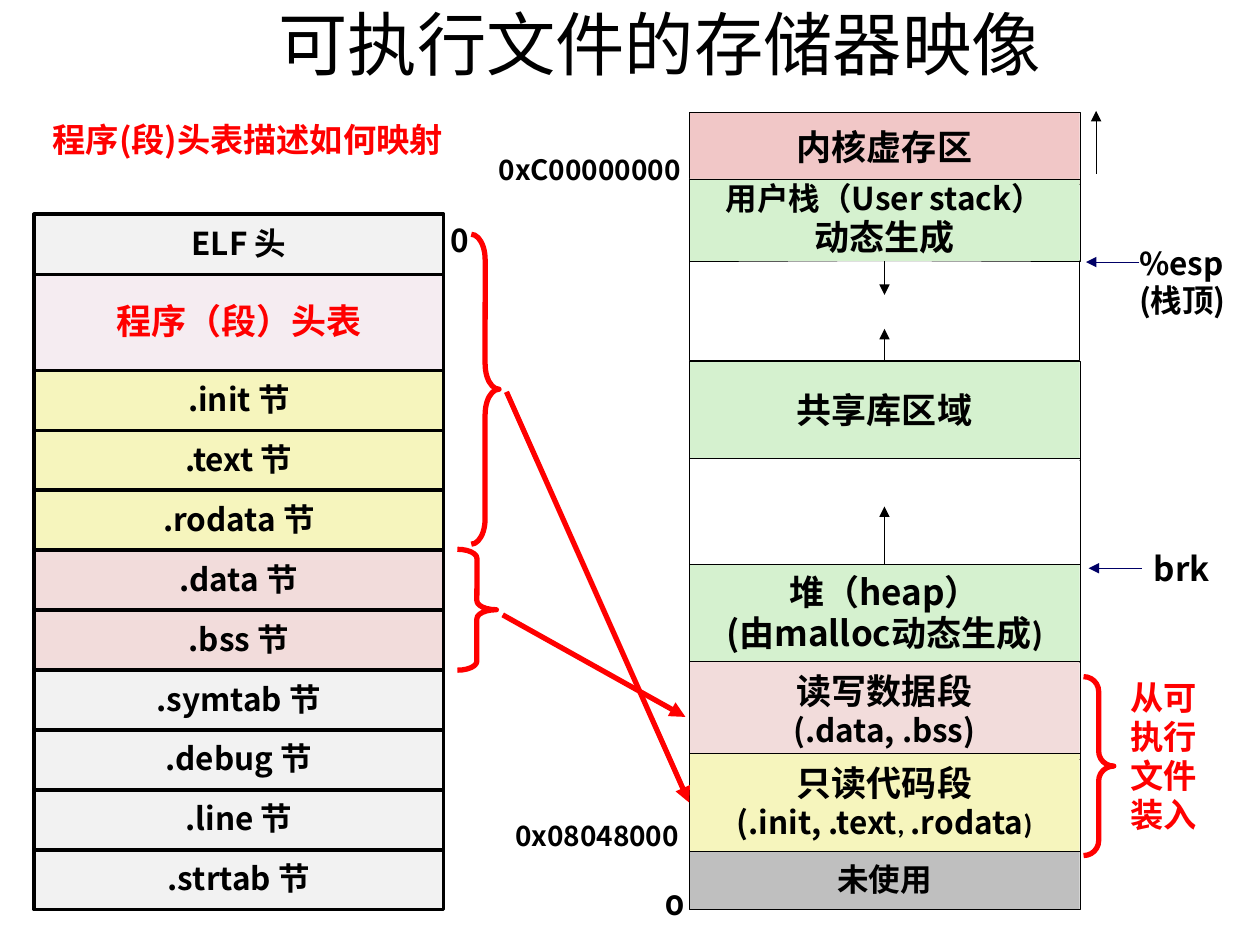
import pptx
import pptx.dml.color
import pptx.enum.shapes
import pptx.enum.text
import pptx.oxml
import pptx.oxml.ns
import pptx.util

Inches = pptx.util.Inches
Pt = pptx.util.Pt
RGBColor = pptx.dml.color.RGBColor
Shape = pptx.enum.shapes.MSO_SHAPE
Align = pptx.enum.text.PP_ALIGN
Anchor = pptx.enum.text.MSO_ANCHOR
AutoSize = pptx.enum.text.MSO_AUTO_SIZE

BLACK = RGBColor(0x00, 0x00, 0x00)
WHITE = RGBColor(0xFF, 0xFF, 0xFF)
RED = RGBColor(0xFF, 0x00, 0x00)
NAVY = RGBColor(0x00, 0x00, 0x66)
PLUM = RGBColor(0x99, 0x33, 0x66)
PALE_GRAY = RGBColor(0xF2, 0xF2, 0xF2)
GRAY = RGBColor(0xBF, 0xBF, 0xBF)
YELLOW = RGBColor(0xF6, 0xF5, 0xBD)
PINK = RGBColor(0xF2, 0xDC, 0xDB)
ROSE = RGBColor(0xF1, 0xC7, 0xC7)
GREEN = RGBColor(0xD5, 0xF1, 0xCF)

CJK = "Noto Sans CJK SC"
LATIN = "Calibri"


def add_xml(parent, tag, **attributes):
    child = pptx.oxml.parse_xml(f"<{tag} {pptx.oxml.ns.nsdecls('a')}/>")
    for name, value in attributes.items():
        child.set(name, value)
    parent.append(child)


def write_text(frame, paragraphs, size=18, font=CJK, color=BLACK, bold=True,
               align=Align.LEFT, spacing=0.98):
    """Each paragraph is a string or a list of (text, size, font) runs."""
    for index, content in enumerate(paragraphs):
        paragraph = frame.paragraphs[0] if index == 0 else frame.add_paragraph()
        paragraph.alignment = align
        paragraph.line_spacing = spacing
        runs = [(content, size, font)] if isinstance(content, str) else content
        for text, run_size, run_font in runs:
            run = paragraph.add_run()
            run.text = text
            run.font.size = Pt(run_size)
            run.font.name = run_font
            run.font.bold = bold
            run.font.color.rgb = color
            add_xml(run.font._element, "a:ea", typeface=CJK)


class MemoryMapSlide:
    def __init__(self, presentation):
        self.slide = presentation.slides.add_slide(presentation.slide_layouts[5])
        self.shapes = self.slide.shapes

    def title(self, text, left, top, width, height):
        title = self.shapes.title
        title.left, title.top = Inches(left), Inches(top)
        title.width, title.height = Inches(width), Inches(height)
        title.text_frame.auto_size = AutoSize.NONE
        title.text_frame.vertical_anchor = Anchor.MIDDLE
        write_text(title.text_frame, [text], size=39.6, font=LATIN, bold=False,
                   align=Align.CENTER, spacing=1.0)

    def label(self, paragraphs, left, top, width, height, wrap=False,
              side_inset=0.1, **text_format):
        box = self.shapes.add_textbox(*map(Inches, (left, top, width, height)))
        frame = box.text_frame
        frame.word_wrap = wrap
        frame.auto_size = AutoSize.SHAPE_TO_FIT_TEXT
        frame.margin_left = frame.margin_right = Inches(side_inset)
        write_text(frame, paragraphs, **text_format)

    def block(self, paragraphs, left, top, width, height, fill, line_width,
              opacity=None, **text_format):
        block = self.shapes.add_shape(
            Shape.RECTANGLE, *map(Inches, (left, top, width, height)))
        block.shadow.inherit = False
        block.fill.solid()
        block.fill.fore_color.rgb = fill
        if opacity is not None:
            color = block._element.spPr.find(".//" + pptx.oxml.ns.qn("a:srgbClr"))
            add_xml(color, "a:alpha", val=str(opacity * 1000))
        block.line.color.rgb = BLACK
        block.line.width = Pt(line_width)
        block.text_frame.word_wrap = False
        block.text_frame.vertical_anchor = Anchor.MIDDLE
        write_text(block.text_frame, paragraphs, align=Align.CENTER, **text_format)
        return block

    def brace(self, left, top, width, height, curve):
        brace = self.shapes.add_shape(
            Shape.RIGHT_BRACE, *map(Inches, (left, top, width, height)))
        brace.shadow.inherit = False
        brace.adjustments[0] = curve
        brace.fill.background()
        brace.line.color.rgb = RED
        brace.line.width = Pt(3)

    def arrow(self, start, end, color=BLACK, width=0.25, start_at=None, end_at=None):
        """start_at and end_at are (block, side) pairs to join to."""
        arrow = self.shapes.add_connector(
            pptx.enum.shapes.MSO_CONNECTOR.STRAIGHT, *map(Inches, start + end))
        arrow.line.color.rgb = color
        arrow.line.width = Pt(width)
        add_xml(arrow.line._get_or_add_ln(), "a:tailEnd", type="triangle")
        add_xml(arrow._element.spPr, "a:effectLst")
        if start_at:
            arrow.begin_connect(*start_at)
        if end_at:
            arrow.end_connect(*end_at)


def draw_elf_file(page):
    left, width, line_width = 0.27, 3.25, 2
    page.block(["ELF 头"], left, 1.7, width, 0.48, PALE_GRAY, line_width)
    page.block(["程序（段）头表"], left, 2.18, width, 0.76, PLUM, line_width,
               opacity=9, size=20, color=RED)
    sections = [
        (".init", YELLOW), (".text", YELLOW), (".rodata", YELLOW),
        (".data", PINK), (".bss", PINK),
        (".symtab", PALE_GRAY), (".debug", PALE_GRAY),
        (".line", PALE_GRAY), (".strtab", PALE_GRAY),
    ]
    sections_top, sections_bottom = 2.94, 7.22
    height = (sections_bottom - sections_top) / len(sections)
    for row, (name, fill) in enumerate(sections):
        page.block([f"{name} 节"], left, sections_top + row * height, width, height,
                   fill, line_width)


def draw_memory(page):
    """Draw the address space from high to low; return its blocks by name."""
    code_sections = [("(.init, .text", 18, CJK), (", ", 16, LATIN),
                     (".rodata", 18, CJK), (")", 16, LATIN)]
    areas = [
        ("stack gap", 2.07, 0.79, WHITE, []),
        ("kernel", 0.89, 0.57, ROSE, ["内核虚存区"]),
        ("stack", 1.42, 0.65, GREEN,
         [[("用户栈（User stack）", 18, CJK)], [("动态生成", 20, LATIN)]]),
        ("libraries", 2.87, 0.78, GREEN, ["共享库区域"]),
        ("heap gap", 3.64, 0.84, WHITE, []),
        ("heap", 4.48, 0.78, GREEN,
         ["堆（heap）", [("(由malloc动态生成", 20, CJK), (")", 20, LATIN)]]),
        ("data", 5.25, 0.78, PINK, ["读写数据段", [("(.data, .bss)", 18, CJK)]]),
        ("code", 5.98, 0.78, YELLOW, ["只读代码段", code_sections]),
        ("unused", 6.76, 0.46, GRAY, [[("未使用", 18, CJK)]]),
    ]
    return {
        name: page.block(text, 5.47, top, 3.1, height, fill,
                         0.75 if name == "stack gap" else 0.25, size=20)
        for name, top, height, fill, text in areas
    }


def main():
    presentation = pptx.Presentation()
    presentation.slide_width, presentation.slide_height = Inches(10), Inches(7.5)
    page = MemoryMapSlide(presentation)

    page.title("可执行文件的存储器映像", 0.47, 0, 9.53, 0.68)
    page.label(["程序(段)头表描述如何映射"], 0.32, 0.9, 3.57, 0.42, wrap=True,
               size=19, color=RED, spacing=1.0)
    draw_elf_file(page)
    memory = draw_memory(page)

    page.label(["0"], 3.48, 1.72, 0.35, 0.4, wrap=True)
    page.label(["%esp", "(栈顶)"], 9.04, 1.9, 0.8, 0.68, wrap=True, side_inset=0)
    page.label(["brk"], 9.06, 4.33, 0.64, 0.4, size=19, spacing=0.94)
    page.label(["0xC00000000"], 3.86, 1.18, 1.71, 0.35, size=16, spacing=0.94)
    page.label(["0x08048000"], 3.99, 6.47, 1.56, 0.35, size=16, spacing=0.94)
    page.label(["0"], 5.18, 7.01, 0.35, 0.36, size=16, font="Montserrat")
    page.label(["从可执行文件装入"], 8.87, 5.34, 0.82, 1.34, wrap=True,
               size=19, font=LATIN, color=RED)

    page.arrow((8.7, 1.38), (8.7, 0.88))
    page.arrow((9.04, 2.08), (8.62, 2.08), color=NAVY)
    page.arrow((9.06, 4.51), (8.64, 4.51), color=NAVY)
    page.arrow((7.02, 2.07), (7.02, 2.34), start_at=(memory["stack"], 2))
    page.arrow((7.02, 2.87), (7.02, 2.61), start_at=(memory["libraries"], 0))
    page.arrow((7.02, 4.48), (7.02, 4.02), start_at=(memory["heap"], 0))
    page.arrow((4.02, 3.11), (5.47, 6.37), color=RED, width=3,
               end_at=(memory["code"], 1))
    page.arrow((3.99, 4.88), (5.44, 5.69), color=RED, width=3)

    page.brace(3.74, 1.86, 0.22, 2.46, curve=0.92)
    page.brace(3.63, 4.36, 0.31, 0.96, curve=0.23)
    page.brace(8.6, 5.37, 0.24, 1.42, curve=0.49)

    presentation.save("out.pptx")


if __name__ == "__main__":
    main()
